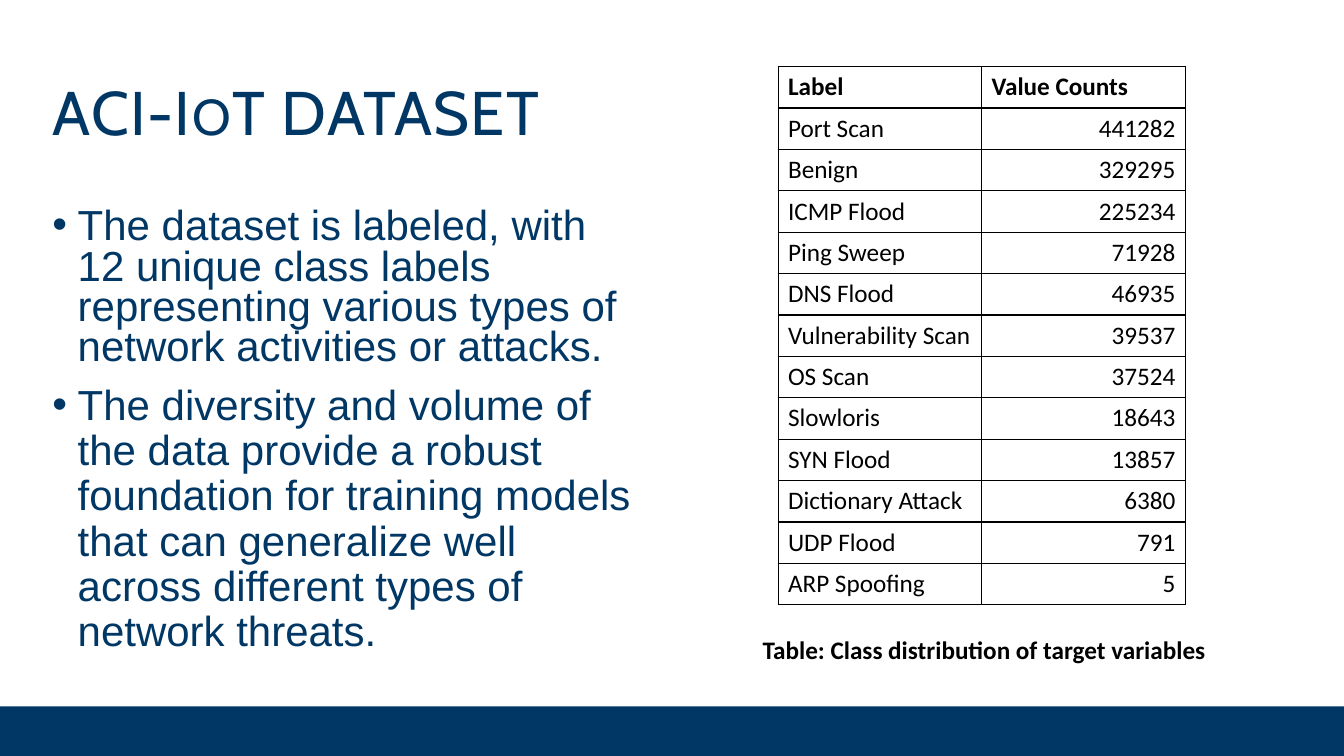
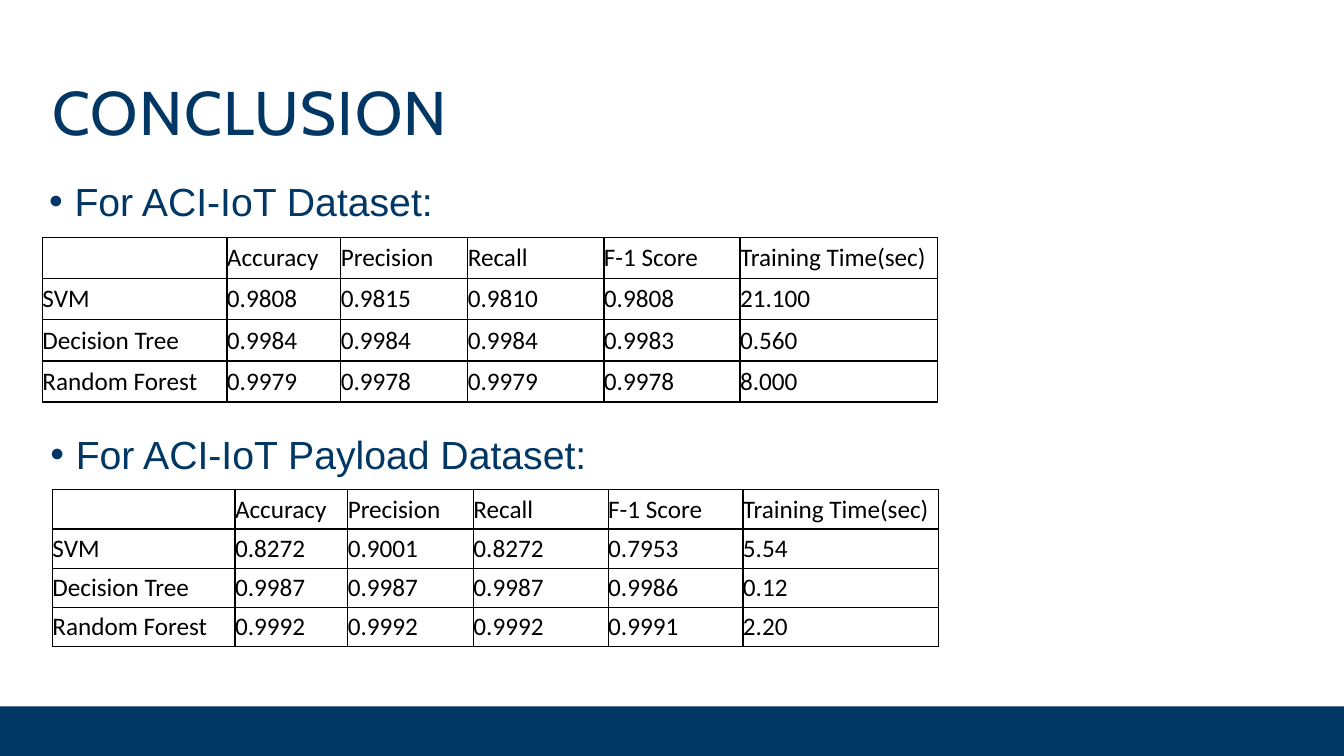
from dataclasses import dataclass

from lxml import etree
from pptx import Presentation
from pptx.dml.color import RGBColor
from pptx.enum import shapes, text
from pptx.oxml import ns
from pptx.util import Cm, Pt


@dataclass(frozen=True)
class Theme:
    navy: RGBColor = RGBColor(0x00, 0x37, 0x64)
    black: RGBColor = RGBColor(0x00, 0x00, 0x00)
    white: RGBColor = RGBColor(0xFF, 0xFF, 0xFF)
    title_font: str = "Cabin"
    body_font: str = "Arial"
    table_font: str = "Calibri"
    title_size: int = 44
    small_cap_size: int = 36
    body_size: int = 30
    heading_size: int = 28
    table_size: int = 18


@dataclass(frozen=True)
class Frame:
    left: float
    top: float
    width: float
    height: float

    def lengths(self) -> tuple:
        return Cm(self.left), Cm(self.top), Cm(self.width), Cm(self.height)


@dataclass(frozen=True)
class Bullet:
    words: str
    line_spacing: float = 0.9


@dataclass(frozen=True)
class TableStyle:
    inset_x: float = 0.25
    inset_y: float = 0.13
    anchor: text.MSO_ANCHOR = text.MSO_ANCHOR.TOP
    bold_header: bool = False
    numbers_right: bool = False


@dataclass(frozen=True)
class ResultBlock:
    heading: str
    heading_frame: Frame
    left: float
    top: float
    row_height: float
    scale: float
    rows: list


THEME = Theme()
SLIDE_WIDTH, SLIDE_HEIGHT = 33.87, 19.05
BAND = Frame(0, 17.8, SLIDE_WIDTH, 1.25)
TITLE = Frame(1.07, 1.07, 31.75, 3.68)
BULLET_INDENT = Cm(0.64)

CLASS_STYLE = TableStyle(bold_header=True, numbers_right=True)
RESULT_STYLE = TableStyle(inset_x=0, inset_y=0, anchor=text.MSO_ANCHOR.MIDDLE)

CLASS_COUNTS = [
    ("Label", "Value Counts"),
    ("Port Scan", "441282"),
    ("Benign", "329295"),
    ("ICMP Flood", "225234"),
    ("Ping Sweep", "71928"),
    ("DNS Flood", "46935"),
    ("Vulnerability Scan", "39537"),
    ("OS Scan", "37524"),
    ("Slowloris", "18643"),
    ("SYN Flood", "13857"),
    ("Dictionary Attack", "6380"),
    ("UDP Flood", "791"),
    ("ARP Spoofing", "5"),
]

DATASET_BULLETS = [
    Bullet("The dataset is labeled, with 12 unique class labels representing "
           "various types of network activities or attacks.", 0.8),
    Bullet("The diversity and volume of the data provide a robust foundation for "
           "training models that can generalize well across different types of "
           "network threats."),
]

RESULT_HEADER = ("", "Accuracy", "Precision", "Recall", "F-1 Score", "Training Time(sec)")
RESULT_WIDTHS = (4.65, 2.87, 3.2, 3.43, 3.43, 4.98)
RESULTS = [
    ResultBlock(
        "For ACI-IoT Dataset:", Frame(0.99, 4.47, 15.19, 1.4), 1.07, 5.99, 1.035, 1, [
            ("SVM", "0.9808", "0.9815", "0.9810", "0.9808", "21.100"),
            ("Decision Tree", "0.9984", "0.9984", "0.9984", "0.9983", "0.560"),
            ("Random Forest", "0.9979", "0.9978", "0.9979", "0.9978", "8.000"),
        ]),
    ResultBlock(
        "For ACI-IoT Payload Dataset:", Frame(1.02, 10.85, 15.14, 1.4), 1.32, 12.34, 0.99, 0.99, [
            ("SVM", "0.8272", "0.9001", "0.8272", "0.7953", "5.54"),
            ("Decision Tree", "0.9987", "0.9987", "0.9987", "0.9986", "0.12"),
            ("Random Forest", "0.9992", "0.9992", "0.9992", "0.9991", "2.20"),
        ]),
]


def add_span(para, words: str, font: str, size: int, color: RGBColor, bold: bool = False):
    span = para.add_run()
    span.text = words
    span.font.name = font
    span.font.size = Pt(size)
    span.font.color.rgb = color
    span.font.bold = bold
    return span


def add_page(deck, title_spans: list[tuple[str, int]]):
    page = deck.slides.add_slide(deck.slide_layouts[5])
    band = page.shapes.add_shape(shapes.MSO_SHAPE.RECTANGLE, *BAND.lengths())
    band.shadow.inherit = False
    band.fill.solid()
    band.fill.fore_color.rgb = THEME.navy
    band.line.fill.background()

    title = page.shapes.title
    title.left, title.top, title.width, title.height = TITLE.lengths()
    frame = title.text_frame
    frame.auto_size = text.MSO_AUTO_SIZE.NONE
    frame.vertical_anchor = text.MSO_ANCHOR.MIDDLE
    para = frame.paragraphs[0]
    para.alignment = text.PP_ALIGN.LEFT
    para.line_spacing = 0.9
    for words, size in title_spans:
        span = add_span(para, words, THEME.title_font, size, THEME.navy)
        span._r.get_or_add_rPr().set("spc", "100")
    return page


def add_box(page, place: Frame):
    box = page.shapes.add_textbox(*place.lengths())
    box.text_frame.word_wrap = True
    return box.text_frame


def add_bullets(page, place: Frame, bullets: list[Bullet], size: int) -> None:
    frame = add_box(page, place)
    for index, bullet in enumerate(bullets):
        para = frame.add_paragraph() if index else frame.paragraphs[0]
        properties = para._p.get_or_add_pPr()
        properties.set("marL", str(BULLET_INDENT))
        properties.set("indent", str(-BULLET_INDENT))
        etree.SubElement(properties, ns.qn("a:buFont"), typeface="Arial")
        etree.SubElement(properties, ns.qn("a:buChar"), char="•")
        para.line_spacing = bullet.line_spacing
        if index:
            para.space_before = Pt(10)
        add_span(para, bullet.words, THEME.body_font, size, THEME.navy)


def add_borders(cell) -> None:
    properties = cell._tc.get_or_add_tcPr()
    for side in ("lnL", "lnR", "lnT", "lnB"):
        line = etree.SubElement(properties, ns.qn(f"a:{side}"), w=str(Pt(1)))
        fill = etree.SubElement(line, ns.qn("a:solidFill"))
        etree.SubElement(fill, ns.qn("a:srgbClr"), val=str(THEME.black))


def add_grid(page, left: float, top: float, widths: list[float], height: float,
             rows: list, style: TableStyle) -> None:
    place = Frame(left, top, sum(widths), height)
    table = page.shapes.add_table(len(rows), len(widths), *place.lengths()).table
    table.first_row = False
    table.horz_banding = False
    for column, width in zip(table.columns, widths):
        column.width = Cm(width)
    for row_index, row in enumerate(rows):
        for column_index, words in enumerate(row):
            cell = table.cell(row_index, column_index)
            cell.margin_left = cell.margin_right = Cm(style.inset_x)
            cell.margin_top = cell.margin_bottom = Cm(style.inset_y)
            cell.vertical_anchor = style.anchor
            add_borders(cell)
            cell.fill.solid()
            cell.fill.fore_color.rgb = THEME.white
            para = cell.text_frame.paragraphs[0]
            if style.numbers_right and row_index and column_index:
                para.alignment = text.PP_ALIGN.RIGHT
            if words:
                add_span(para, words, THEME.table_font, THEME.table_size, THEME.black,
                         style.bold_header and row_index == 0)


def build_dataset(deck) -> None:
    page = add_page(deck, [("ACI-I", THEME.title_size), ("O", THEME.small_cap_size),
                           ("T DATASET", THEME.title_size)])
    add_bullets(page, Frame(1.07, 5.13, 15.19, 11.61), DATASET_BULLETS, THEME.body_size)
    add_grid(page, 19.61, 1.68, [5.13, 5.13], 13.56, CLASS_COUNTS, CLASS_STYLE)
    caption = add_box(page, Frame(18.97, 15.85, 11.71, 1.02))
    add_span(caption.paragraphs[0], "Table: Class distribution of target variables",
             THEME.table_font, THEME.table_size, THEME.black, True)


def build_conclusion(deck) -> None:
    page = add_page(deck, [("CONCLUSION", THEME.title_size)])
    for block in RESULTS:
        rows = [RESULT_HEADER, *block.rows]
        widths = [width * block.scale for width in RESULT_WIDTHS]
        add_bullets(page, block.heading_frame, [Bullet(block.heading)], THEME.heading_size)
        add_grid(page, block.left, block.top, widths, block.row_height * len(rows),
                 rows, RESULT_STYLE)


def main() -> None:
    deck = Presentation()
    deck.slide_width, deck.slide_height = Cm(SLIDE_WIDTH), Cm(SLIDE_HEIGHT)
    build_dataset(deck)
    build_conclusion(deck)
    deck.save("out.pptx")


if __name__ == "__main__":
    main()
